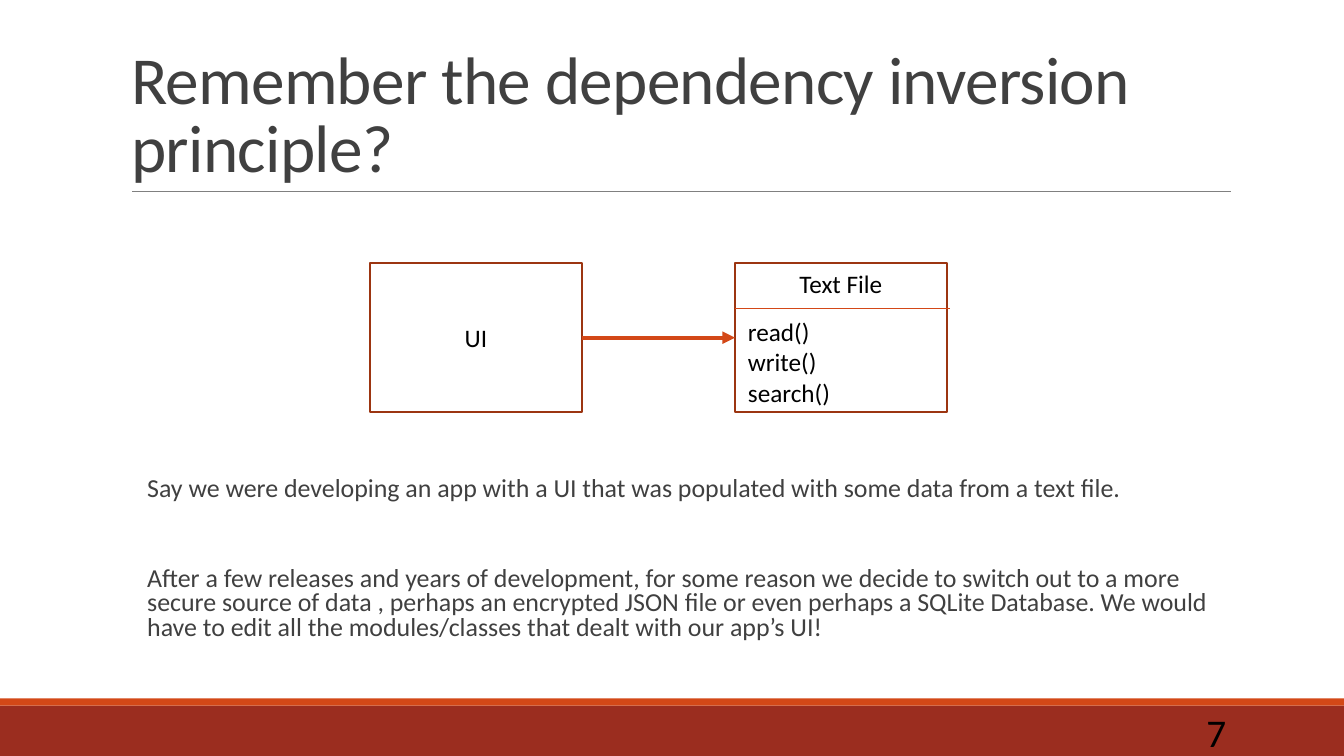
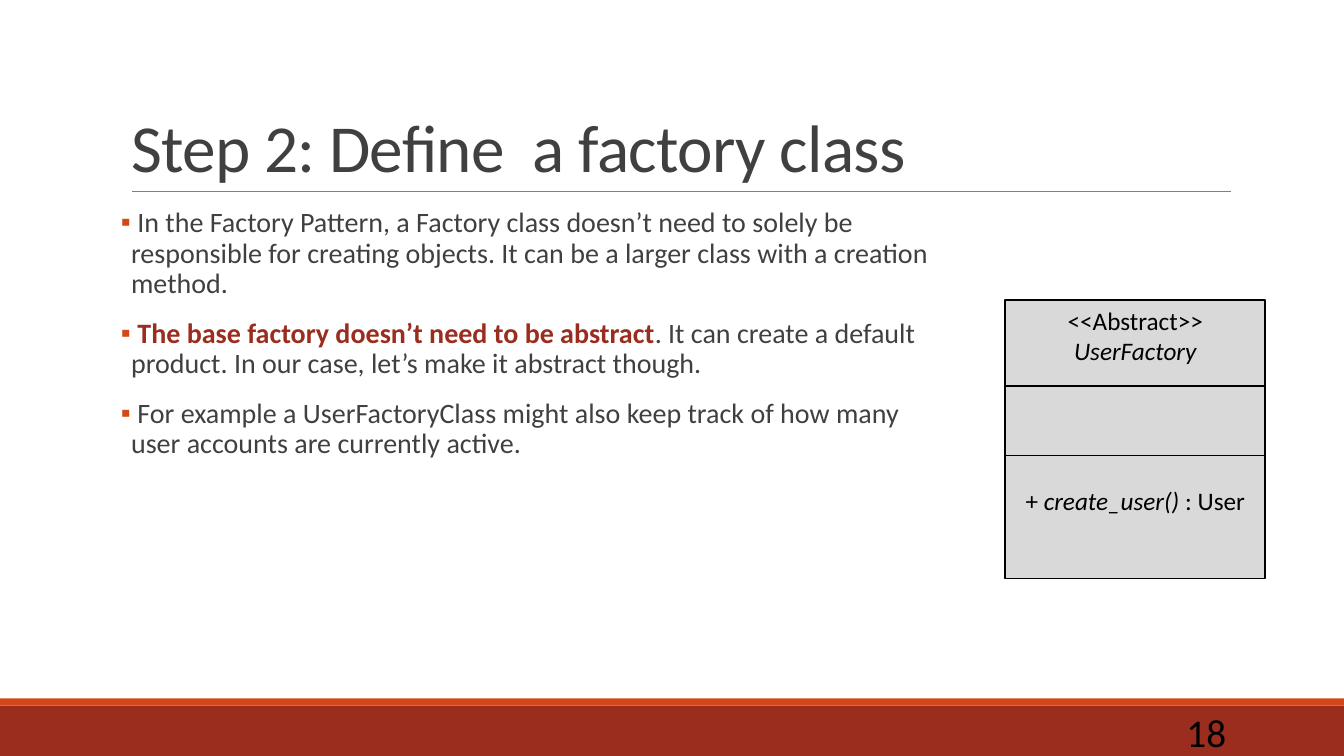
from lxml import etree
from pptx import Presentation
from pptx import util as u
from pptx.dml import color
from pptx.enum import shapes, text
from pptx.oxml import ns

PX = 9144
FONT = "Calibri"
BLACK, WHITE, INK = "000000", "FFFFFF", "404040"
ORANGE, RED, RUST = "D34817", "9B2D1F", "9C3511"
GRAY, SILVER = "808080", "D9D9D9"
WIDTH, HEIGHT = 1333, 750
CENTER, LEFT, RIGHT = text.PP_ALIGN.CENTER, text.PP_ALIGN.LEFT, text.PP_ALIGN.RIGHT
TOP, MIDDLE, BOTTOM = text.MSO_ANCHOR.TOP, text.MSO_ANCHOR.MIDDLE, text.MSO_ANCHOR.BOTTOM

BANDS = [((0, 700, WIDTH, 50), RED), ((0, 693, WIDTH, 7), ORANGE)]
TITLE_RULE = (131, 190, 1221, 190)
TITLE_AREA = (120, 31, 1100, 159)
NUMBER_AREA = (1083, 706, 143, 40)

INVERSION = {
    "title": "Remember the dependency inversion principle?",
    "number": "7",
    "area": (146, 469, 1086, 183),
    "style": {"size": 18.5, "spacing": 0.8, "before": 44},
    "body": [
        [("Say we were developing an app with a UI that was populated with some data from a text file.", "")],
        [("After a few releases and years of development, for some reason we decide to switch out to a more "
          "secure source of data , perhaps an encrypted JSON file or even perhaps a SQLite Database. We would "
          "have to edit all the modules/classes that dealt with our app’s UI!", "")],
    ],
}
FACTORY = {
    "title": "Step 2: Define  a factory class",
    "number": "18",
    "area": (120, 202, 808, 440),
    "style": {"size": 20, "spacing": 0.9, "before": 12, "bullet": "▪"},
    "body": [
        [(" In the Factory Pattern, a Factory class doesn’t need to solely be responsible for creating objects. "
          "It can be a larger class with a creation method.", "")],
        [(" ", ""), ("The base factory doesn’t need to be abstract", "strong"),
         (". It can create a default product. In our case, let’s make it abstract though.", "")],
        [(" For example a UserFactoryClass might also keep track of how many user accounts are "
          "currently active.", "")],
    ],
}

UI_BOX = (367, 261, 210, 148)
FILE_BOX = (729, 261, 210, 148)
FILE_METHODS = ["read()", "write()", "search()"]
FACTORY_BOX = (997, 298, 258, 276)
FACTORY_RULES = [383, 452]
FACTORY_NAME = [[("<<Abstract>>", "")], [("UserFactory", "italic")]]
FACTORY_METHOD = [[("+ ", ""), ("create_user()", "italic"), (" : User", "")]]


def px(*lengths):
    return [u.Emu(length * PX) for length in lengths]


def rgb(value):
    return color.RGBColor.from_string(value)


def add_child(parent, tag, **attributes):
    return etree.SubElement(parent, ns.qn(tag), attributes)


def write(frame, paragraphs, size=18, ink=BLACK, align=LEFT, anchor=TOP):
    frame.word_wrap = True
    frame.auto_size = text.MSO_AUTO_SIZE.NONE
    frame.vertical_anchor = anchor
    for index, runs in enumerate(paragraphs):
        para = frame.add_paragraph() if index else frame.paragraphs[0]
        para.alignment = align
        for words, kind in runs:
            span = para.add_run()
            span.text = words
            span.font.name = FONT
            span.font.size = u.Pt(size)
            span.font.color.rgb = rgb(RED if kind == "strong" else ink)
            span.font.bold = kind == "strong"
            span.font.italic = kind == "italic"


def add_label(page, area, paragraphs, **style):
    write(page.shapes.add_textbox(*px(*area)).text_frame, paragraphs, **style)


def add_rect(page, area, fill, line=None):
    rect = page.shapes.add_shape(shapes.MSO_SHAPE.RECTANGLE, *px(*area))
    rect.shadow.inherit = False
    rect.fill.solid()
    rect.fill.fore_color.rgb = rgb(fill)
    if line:
        rect.line.color.rgb = rgb(line)
        rect.line.width = u.Pt(1.25)
    else:
        rect.line.fill.background()
    return rect


def add_line(page, ends, ink, width, arrow=False):
    line = page.shapes.add_connector(shapes.MSO_CONNECTOR.STRAIGHT, *px(*ends))
    line.line.color.rgb = rgb(ink)
    line.line.width = u.Pt(width)
    properties = line.element.spPr
    if arrow:
        add_child(properties.find(ns.qn("a:ln")), "a:tailEnd", type="triangle")
    add_child(properties, "a:effectLst")
    return line


def move_to_master(deck, parts):
    tree = deck.slide_master.shapes.element
    for index, part in enumerate(parts):
        tree.insert(2 + index, part.element)


def add_backdrop(deck, page):
    parts = [add_rect(page, area, fill) for area, fill in BANDS]
    parts.append(add_line(page, TITLE_RULE, GRAY, 0.5))
    move_to_master(deck, parts)


def place(holder, area):
    holder.left, holder.top, holder.width, holder.height = px(*area)


def fill_title(page, words):
    title = page.shapes.title
    place(title, TITLE_AREA)
    write(title.text_frame, [[(words, "")]], size=48, ink=INK, anchor=BOTTOM)
    para = title.text_frame.paragraphs[0]
    para.line_spacing = 0.85
    para.runs[0].font._element.set("spc", "-50")


def fill_body(page, area, paragraphs, size, spacing, before, bullet=None):
    body = page.placeholders[1]
    place(body, area)
    frame = body.text_frame
    frame.margin_left = frame.margin_right = 0
    write(frame, paragraphs, size=size, ink=INK)
    for index, para in enumerate(frame.paragraphs):
        properties = para._p.get_or_add_pPr()
        indent = 10 * PX if bullet else 0
        properties.set("marL", str(indent))
        properties.set("indent", str(-indent))
        if bullet:
            add_child(add_child(properties, "a:buClr"), "a:srgbClr", val=ORANGE)
            add_child(properties, "a:buChar", char=bullet)
        else:
            add_child(properties, "a:buNone")
        para.line_spacing = spacing
        para.space_before = u.Pt(before if index else 0)
        para.space_after = u.Pt(2)


def add_page(deck, content):
    page = deck.slides.add_slide(deck.slide_layouts[1])
    fill_title(page, content["title"])
    fill_body(page, content["area"], content["body"], **content["style"])
    add_label(page, NUMBER_AREA, [[(content["number"], "")]], size=28, align=RIGHT, anchor=MIDDLE)
    return page


def draw_dependency(page):
    ui = add_rect(page, UI_BOX, WHITE, RUST)
    write(ui.text_frame, [[("UI", "")]], align=CENTER, anchor=MIDDLE)
    add_rect(page, FILE_BOX, WHITE, RUST)
    left, top, width, height = FILE_BOX
    middle = top + height // 2
    add_line(page, (UI_BOX[0] + UI_BOX[2], middle, left, middle), ORANGE, 3, arrow=True)
    add_line(page, (left, top + 45, left + width + 3, top + 45), ORANGE, 1)
    add_label(page, (left, top, width, 40), [[("Text File", "")]], align=CENTER)
    add_label(page, (left + 3, top + 48, width, 101), [[(name, "")] for name in FILE_METHODS])


def draw_factory(page):
    add_rect(page, FACTORY_BOX, SILVER, BLACK)
    left, top, width, height = FACTORY_BOX
    for y in FACTORY_RULES:
        add_line(page, (left, y, left + width, y), BLACK, 1)
    add_label(page, (left, top, width, FACTORY_RULES[0] - top), FACTORY_NAME, align=CENTER)
    add_label(page, (left, FACTORY_RULES[1] + 25, width, 40), FACTORY_METHOD, align=CENTER)


def main():
    deck = Presentation()
    deck.slide_width, deck.slide_height = px(WIDTH, HEIGHT)
    inversion = add_page(deck, INVERSION)
    add_backdrop(deck, inversion)
    draw_dependency(inversion)
    draw_factory(add_page(deck, FACTORY))
    deck.save("out.pptx")


if __name__ == "__main__":
    main()
